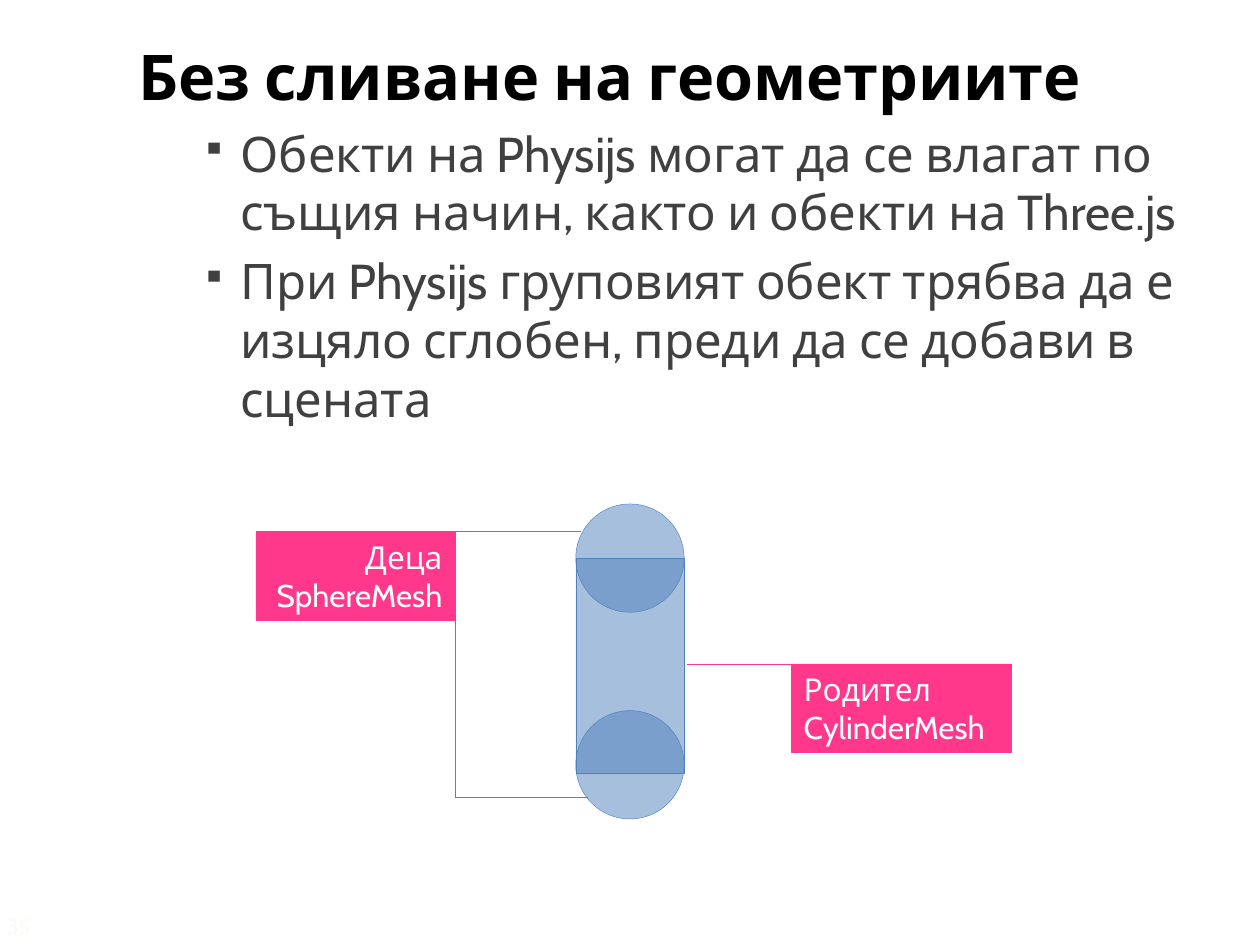
from dataclasses import dataclass

from lxml import etree
from pptx import Presentation, util as u
from pptx.dml.color import RGBColor
from pptx.enum import shapes as kinds, text as txt
from pptx.oxml.ns import qn


@dataclass(frozen=True)
class Theme:
    font: str = "Cabin"
    title: str = "000000"
    body: str = "404040"
    capsule: str = "4F81BD"
    accent: str = "FF388C"
    light: str = "FFFFFF"
    number: str = "FAFAF5"
    title_size: int = 36
    body_size: int = 28
    label_size: int = 18
    number_size: int = 12
    hairline: float = 0.25


@dataclass(frozen=True)
class Box:
    """Place on a grid of 100 columns by 75 rows."""
    col: float
    row: float
    cols: float
    rows: float

    def lengths(self) -> tuple:
        return tuple(map(cell, (self.col, self.row, self.cols, self.rows)))


@dataclass(frozen=True)
class Label:
    wording: str
    box: Box
    line_start: float
    line_end: float
    align: txt.PP_ALIGN


THEME = Theme()
COLUMNS, ROWS = 100, 75
SLIDE_WIDTH = u.Inches(10)

TITLE = "Без сливане на геометриите"
POINTS = (
    "Обекти на Physijs могат да се влагат по същия начин, както и обекти на Three.js",
    "При Physijs груповият обект трябва да е изцяло сглобен, преди да се добави в сцената",
)
DIAMETER = 8.6
CYLINDER = Box(45.7, 44.3, DIAMETER, 17.1)
SPHERE_ROWS = (40, 56.4)
CHILDREN = Label("Деца SphereMesh", Box(20.3, 42.2, 15.8, 7), 46.1, 20.3, txt.PP_ALIGN.RIGHT)
PARENT = Label("Родител\vCylinderMesh", Box(62.8, 52.7, 17.5, 7), 80.3, 54.5, txt.PP_ALIGN.LEFT)
BRANCH_COL, BRANCH_ROW, BRANCH_START = 36.1, 63.3, 46.7


def cell(count: float) -> int:
    return round(SLIDE_WIDTH * count / COLUMNS)


def add_bullet(paragraph) -> None:
    props = paragraph._p.get_or_add_pPr()
    props.set("marL", str(u.Inches(0.81)))
    props.set("indent", str(u.Inches(-0.31)))
    color = etree.SubElement(props, qn("a:buClr"))
    etree.SubElement(color, qn("a:srgbClr"), val=THEME.body)
    etree.SubElement(props, qn("a:buSzPct"), val="70000")
    etree.SubElement(props, qn("a:buChar"), char="▪")


def write(paragraph, wording: str, *, size: float, color: str, bold: bool = False,
          align=txt.PP_ALIGN.LEFT, before: float = 0, bullet: bool = False) -> None:
    paragraph.text = wording
    paragraph.alignment = align
    paragraph.space_before = u.Pt(before)
    if bullet:
        add_bullet(paragraph)
    for run in paragraph.runs:
        run.font.name = THEME.font
        run.font.size = u.Pt(size)
        run.font.bold = bold
        run.font.color.rgb = RGBColor.from_string(color)


def add_text_box(shapes, box: Box):
    frame = shapes.add_textbox(*box.lengths()).text_frame
    frame.word_wrap = True
    return frame


def style_line(line, color: str) -> None:
    line.color.rgb = RGBColor.from_string(color)
    line.width = u.Pt(THEME.hairline)


def add_solid(shapes, kind, box: Box, color: str, opacity: int = 100):
    solid = shapes.add_shape(kind, *box.lengths())
    solid.shadow.inherit = False
    solid.fill.solid()
    solid.fill.fore_color.rgb = RGBColor.from_string(color)
    style_line(solid.line, color)
    if opacity < 100:
        fill_color = solid._element.spPr.find(qn("a:solidFill"))[0]
        etree.SubElement(fill_color, qn("a:alpha"), val=str(opacity * 1000))
    return solid


def add_line(shapes, start: tuple, end: tuple) -> None:
    line = shapes.add_connector(kinds.MSO_CONNECTOR.STRAIGHT, *map(cell, start + end))
    style_line(line.line, THEME.accent)
    etree.SubElement(line._element.spPr, qn("a:effectLst"))


def add_label(shapes, label: Label) -> None:
    """Draw a filled label with the leader that runs along its top edge."""
    group = shapes.add_group_shape().shapes
    panel = add_solid(group, kinds.MSO_SHAPE.RECTANGLE, label.box, THEME.accent)
    frame = panel.text_frame
    frame.word_wrap = True
    frame.vertical_anchor = txt.MSO_ANCHOR.TOP
    write(frame.paragraphs[0], label.wording, size=THEME.label_size,
          color=THEME.light, align=label.align)
    row = label.box.row
    add_line(group, (label.line_start, row), (label.line_end, row))


def add_capsule(shapes) -> None:
    group = shapes.add_group_shape().shapes
    add_solid(group, kinds.MSO_SHAPE.RECTANGLE, CYLINDER, THEME.capsule, opacity=50)
    for row in SPHERE_ROWS:
        sphere = Box(CYLINDER.col, row, DIAMETER, DIAMETER)
        add_solid(group, kinds.MSO_SHAPE.OVAL, sphere, THEME.capsule, opacity=50)


def main() -> None:
    deck = Presentation()
    deck.slide_width, deck.slide_height = SLIDE_WIDTH, cell(ROWS)
    shapes = deck.slides.add_slide(deck.slide_layouts[6]).shapes

    content = add_text_box(shapes, Box(10, 2.5, 89.2, 71.7))
    write(content.paragraphs[0], TITLE, size=THEME.title_size, color=THEME.title, bold=True)
    for point in POINTS:
        write(content.add_paragraph(), point, size=THEME.body_size, color=THEME.body,
              before=THEME.body_size * 0.2, bullet=True)

    add_capsule(shapes)
    add_label(shapes, CHILDREN)
    corner = (BRANCH_COL, BRANCH_ROW)
    add_line(shapes, corner, (BRANCH_COL, CHILDREN.box.row))
    add_line(shapes, (BRANCH_START, BRANCH_ROW), corner)
    add_label(shapes, PARENT)

    number = add_text_box(shapes, Box(-0.4, 72, 6, 3))
    write(number.paragraphs[0], "35", size=THEME.number_size, color=THEME.number)
    deck.save("out.pptx")


if __name__ == "__main__":
    main()
